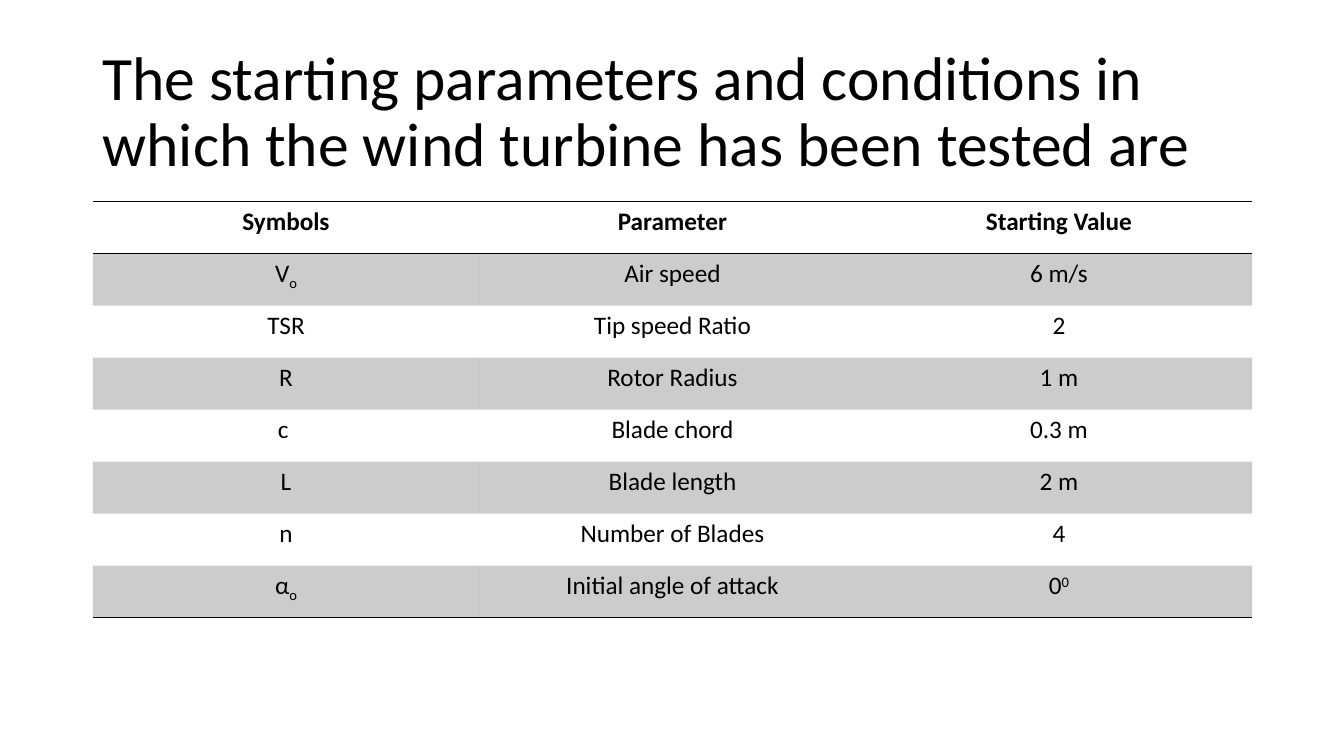
from pptx import Presentation
from pptx import util as u
from pptx.dml.color import RGBColor
from pptx.enum import text
from pptx.oxml import parse_xml
from pptx.oxml.ns import nsdecls, qn

BLACK = RGBColor(0, 0, 0)
PLAIN = "{2D5ABB26-0587-4C30-8999-92F81FD0307C}"  # no style, no grid
LEFT, WIDTH = 0.92, 11.5
ROW = 0.516

# Each cell is text, or text with a raised or lowered mark and its shift
HEAD = ["Symbols", "Parameter", "Starting Value"]
BODY = [
    [("V", "o", -25), "Air speed", "6 m/s"],
    ["TSR", "Tip speed Ratio", "2"],
    ["R", "Rotor Radius", "1 m"],
    ["c ", "Blade chord", "0.3 m"],
    ["L", "Blade length", "2 m"],
    ["n", "Number of Blades", "4"],
    [("α", "o", -25), "Initial angle of attack", ("0", "0", 30)],
]


class Deck:
    font = "Calibri"
    ink = BLACK

    def __init__(self):
        self.prs = Presentation()
        self.prs.slide_width = u.Inches(13.33)
        self.prs.slide_height = u.Inches(7.5)
        self.slide = self.prs.slides.add_slide(self.prs.slide_layouts[6])

    def run(self, para, words, size, bold=False, shift=0):
        run = para.add_run()
        run.text = words
        run.font.name = self.font
        run.font.size = u.Pt(size)
        run.font.bold = bold
        run.font.color.rgb = self.ink
        if shift:
            run.font._element.set("baseline", str(shift * 1000))

    def title(self, words, top, height):
        box = self.slide.shapes.add_textbox(
            u.Inches(LEFT), u.Inches(top), u.Inches(WIDTH), u.Inches(height))
        frame = box.text_frame
        frame.word_wrap = True
        frame.vertical_anchor = text.MSO_ANCHOR.MIDDLE
        para = frame.paragraphs[0]
        para.line_spacing = 0.9
        self.run(para, words, 44)

    def rule(self, cell, side):
        cell._tc.get_or_add_tcPr().append(parse_xml(
            f'<a:{side} {nsdecls("a")} w="12700"><a:solidFill>'
            f'<a:srgbClr val="{self.ink}"/></a:solidFill></a:{side}>'))

    def shade(self, cell, alpha):
        cell.fill.solid()
        cell.fill.fore_color.rgb = self.ink
        tint = cell._tc.tcPr.find(qn("a:solidFill")).find(qn("a:srgbClr"))
        tint.append(parse_xml(
            f'<a:alpha {nsdecls("a")} val="{alpha * 1000}"/>'))

    def cell(self, cell, value, bold):
        para = cell.text_frame.paragraphs[0]
        para.alignment = text.PP_ALIGN.CENTER
        base, *mark = [value] if isinstance(value, str) else value
        self.run(para, base, 18, bold)
        if mark:
            self.run(para, mark[0], 18, bold, mark[1])

    def table(self, rows, top):
        count, wide = len(rows), len(rows[0])
        table = self.slide.shapes.add_table(
            count, wide, u.Inches(LEFT), u.Inches(top),
            u.Inches(WIDTH), u.Inches(ROW * count)).table
        table._tbl.tblPr.find(qn("a:tableStyleId")).text = PLAIN
        table.horz_banding = False
        for col in table.columns:
            col.width = u.Inches(WIDTH / wide)
        for i, row in enumerate(rows):
            table.rows[i].height = u.Inches(ROW)
            for j, value in enumerate(row):
                cell = table.cell(i, j)
                self.cell(cell, value, i == 0)
                # Rules frame the header and close the table
                if i == 0:
                    self.rule(cell, "lnT")
                if i in (0, count - 1):
                    self.rule(cell, "lnB")
                # Every other row is shaded
                if i % 2:
                    self.shade(cell, 20)
                else:
                    cell.fill.background()


def main():
    deck = Deck()
    # Title
    deck.title("The starting parameters and conditions in which "
               "the wind turbine has been tested are", 0.4, 1.45)
    # Parameter table
    deck.table([HEAD] + BODY, 2)
    deck.prs.save("out.pptx")


if __name__ == "__main__":
    main()
